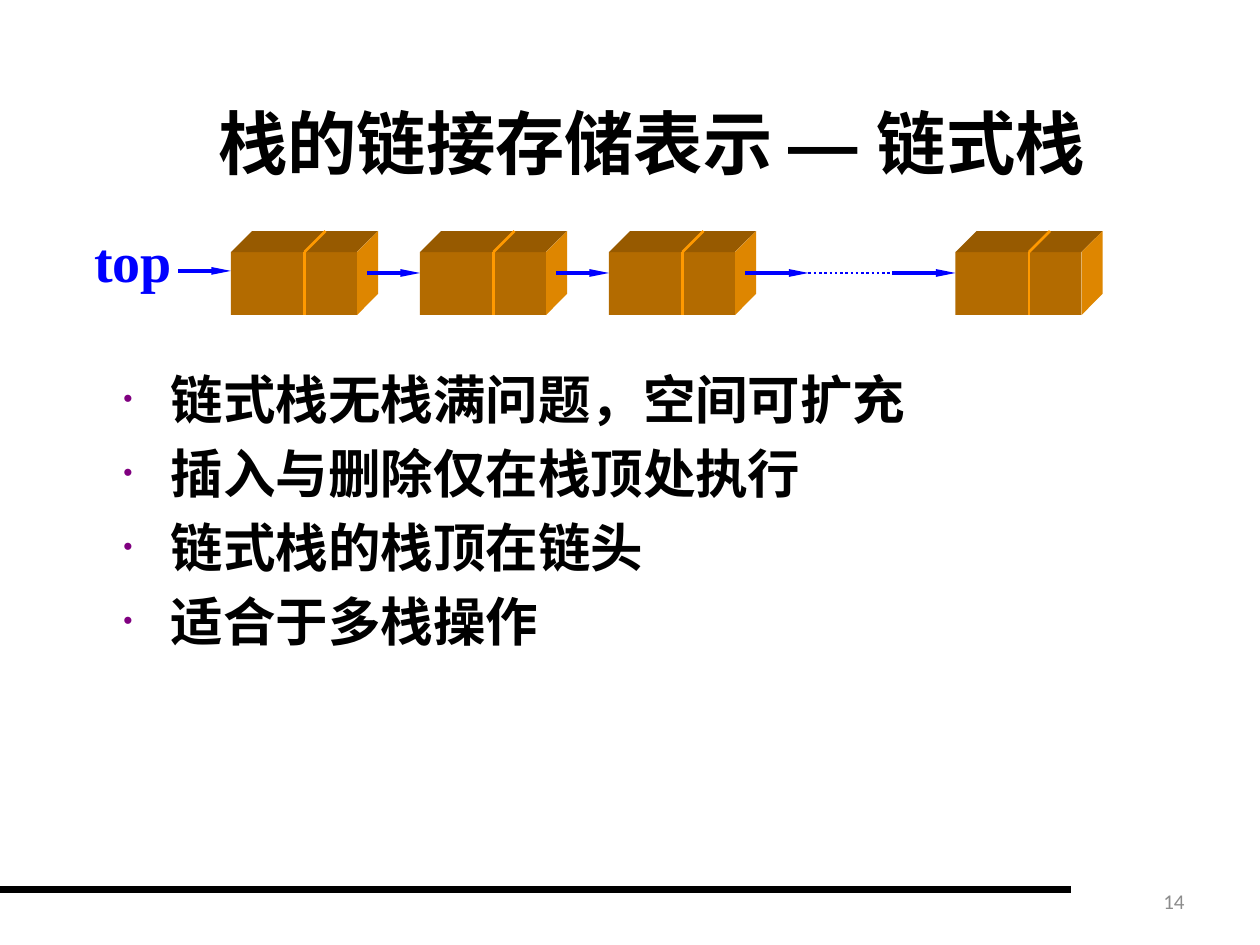
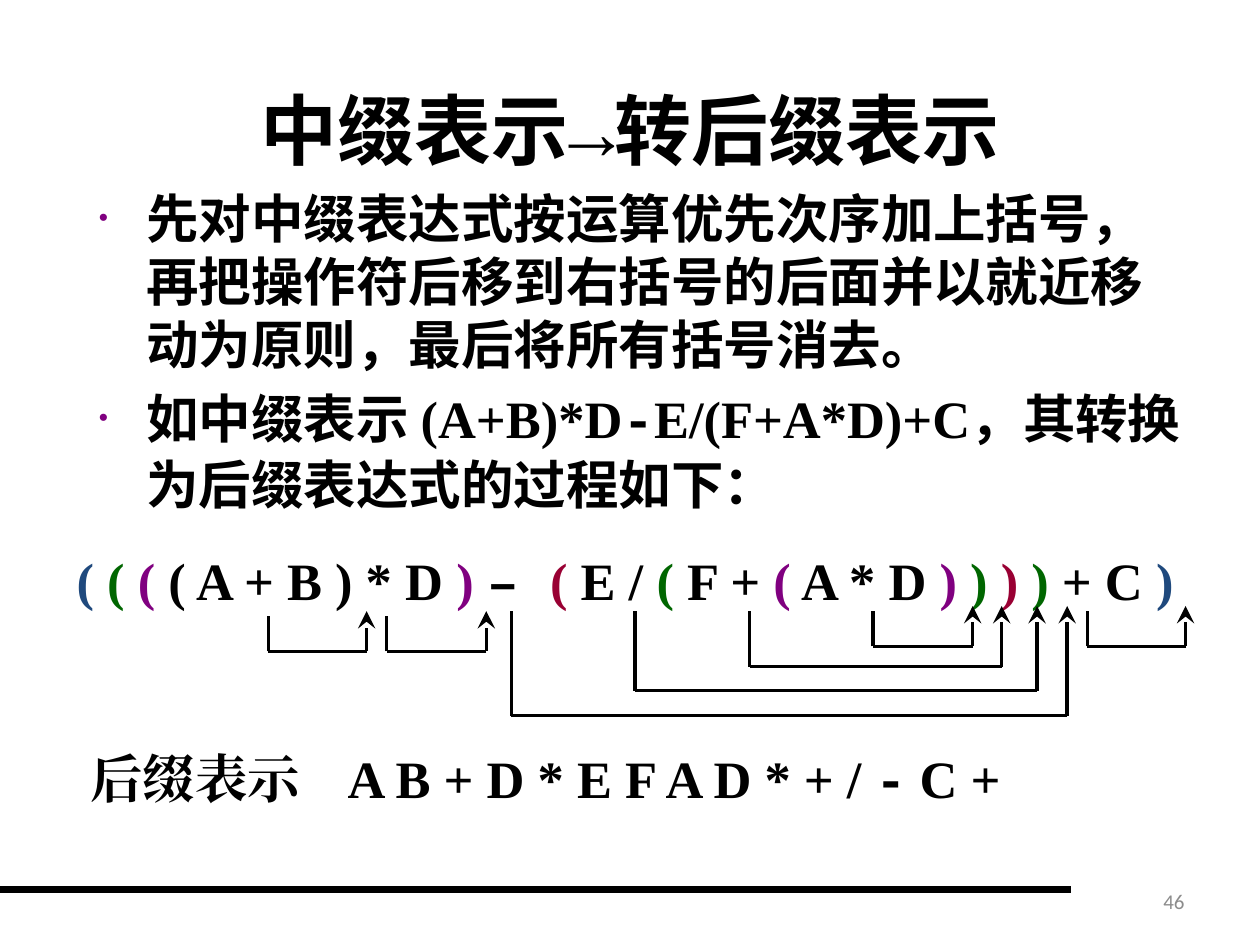
from pptx import Presentation
from pptx.dml.color import RGBColor as Rgb
from pptx.enum.dml import MSO_LINE as Dash
from pptx.enum.lang import MSO_LANGUAGE_ID as Lang
from pptx.enum.shapes import MSO_CONNECTOR as Conn, MSO_SHAPE as Shape
from pptx.enum.text import MSO_ANCHOR as Anchor, PP_ALIGN as Align
from pptx.oxml.ns import qn
from pptx.util import Pt
from lxml.etree import SubElement

BLACK = Rgb(0x00, 0x00, 0x00)
BLUE = Rgb(0x00, 0x00, 0xFF)
NAVY = Rgb(0x1F, 0x49, 0x7D)
GREEN = Rgb(0x00, 0x66, 0x00)
PURPLE = Rgb(0x80, 0x00, 0x80)
CRIMSON = Rgb(0x99, 0x00, 0x33)
GREY = Rgb(0x8C, 0x8C, 0x8C)
ORANGE = Rgb(0xFF, 0x99, 0x00)
NODE_FRONT = Rgb(0xB3, 0x6B, 0x00)
NODE_TOP = Rgb(0x97, 0x5A, 0x00)
NODE_SIDE = Rgb(0xDE, 0x86, 0x00)

SANS, SERIF, MONO, ARIAL = "Calibri", "Times New Roman", "Courier New", "Arial"
HAN, HAN_JP = "Noto Sans CJK SC", "Noto Sans CJK JP"
EAST_ASIAN = {HAN: SANS, HAN_JP: SANS}

STACK = {
    "number": "14",
    "title": [("栈的链接存储表示 ", HAN_JP), ("— ", ARIAL), ("链式栈", HAN_JP)],
    "title_box": (104.4, 51.1, 535.7, 59.8),
    "title_size": 39.6,
    "points": [
        [("链式栈无栈满问题，空间可扩充", SANS)],
        [("插入与删除仅在栈顶处执行", SANS)],
        [("链式栈的栈顶在链头", SANS)],
        [("适合于多栈操作", SANS)],
    ],
    "points_box": (63.4, 204.5, 594, 210),
    "spacing": {"line_spacing": 1.05, "space_before": Pt(4.5)},
}
POSTFIX = {
    "number": "46",
    "title": [("中缀表示", SANS), ("→", MONO), ("转后缀表示", SANS)],
    "title_box": (36, 36, 648, 75.6),
    "title_size": 44,
    "points": [
        [("先对中缀表达式按运算优先次序加上括号，再把操作符后移到右括号的后面"
          "并以就近移动为原则，最后将所有括号消去。", HAN)],
        [("如中缀表示 ", HAN), ("(A+B)*D", SERIF), ("-", MONO),
         ("E/(F+A*D)+C", SERIF), ("，其转换为后缀表达式的过程如下：", HAN),
         (" ", SANS, {"size": Pt(32), "bold": False})],
    ],
    "points_box": (49.5, 103, 633.6, 204.5),
    "spacing": {"space_before": Pt(6)},
}
INFIX = [
    ("( ", NAVY), ("( ", GREEN), ("(", PURPLE), (" ( A + B ) * D ", BLACK),
    (") ", PURPLE), ("– ", BLACK, MONO), ("(", CRIMSON), (" E / ", BLACK),
    ("(", GREEN), (" F + ", BLACK), ("(", PURPLE), (" A * D ", BLACK),
    (") ", PURPLE), (") ", GREEN), (") ", CRIMSON), (")", GREEN),
    (" + C ", BLACK), (")", NAVY),
]
RESULT = [("后缀表示\tA B + D * E F A D * + / ", SERIF), ("-", MONO), (" C +", SERIF)]
RESULT_TAB = 147
OPERATOR_MOVES = [
    (153.4, 209.5, 372.2, 349.2),
    (221, 277.9, 372.2, 349.2),
    (499, 555.8, 369.4, 346.3),
    (428.4, 572.4, 380.9, 346.3),
    (362.9, 592.6, 394.6, 346.3),
    (621.4, 677.5, 369.4, 346.3),
    (292.3, 609.8, 409, 346.3),
]
NODE_LEFTS = [132, 240, 348, 546]
NODE_Y, NODE_W, NODE_H, DEPTH, DIVIDER = 144, 72, 36, 12, 42
LINK_Y = 156
LINKS = [(102, 132, 154.8), (210, 240, LINK_Y), (318, 348, LINK_Y),
         (426, 462, LINK_Y), (510, 546, LINK_Y)]


def apply(target, values):
    for name, value in values.items():
        setattr(target, name, value)


def add_run(paragraph, text, face, color=BLACK, **values):
    run = paragraph.add_run()
    run.text = text
    apply(run.font, {"name": face, "bold": True,
                     "language_id": Lang.SIMPLIFIED_CHINESE, **values})
    run.font.color.rgb = color
    SubElement(run.font._element, qn("a:ea"), typeface=EAST_ASIAN.get(face, face))


def add_frame(slide, box, **values):
    frame = slide.shapes.add_textbox(*map(Pt, box)).text_frame
    apply(frame, {"word_wrap": True, **values})
    return frame


def add_line(slide, start, end, color, width, head=None, dash=None):
    line = slide.shapes.add_connector(Conn.STRAIGHT, *map(Pt, start + end))
    line.line.color.rgb = color
    line.line.width = Pt(width)
    if dash:
        line.line.dash_style = dash
    if head:
        kind, head_width = head
        SubElement(line.line._get_or_add_ln(), qn("a:tailEnd"),
                   type=kind, w=head_width, len="lg")
    SubElement(line._element.spPr, qn("a:effectLst"))


def paint(shape, color):
    shape.shadow.inherit = False
    shape.fill.solid()
    shape.fill.fore_color.rgb = color
    shape.line.fill.background()


def add_bullet(paragraph):
    props = paragraph._p.get_or_add_pPr()
    apply_indent = {"marL": str(Pt(27)), "indent": str(-Pt(27))}
    for name, value in apply_indent.items():
        props.set(name, value)
    SubElement(SubElement(props, qn("a:buClr")), qn("a:srgbClr"), val=str(PURPLE))
    SubElement(props, qn("a:buSzPct"), val="50000")
    SubElement(props, qn("a:buFont"), typeface=ARIAL)
    SubElement(props, qn("a:buChar"), char="•")


def start_slide(deck, content):
    slide = deck.slides.add_slide(deck.slide_layouts[6])
    add_line(slide, (0, 508.3), (612, 508.3), BLACK, 4.5)

    title = add_frame(slide, content["title_box"], vertical_anchor=Anchor.MIDDLE).paragraphs[0]
    title.alignment = Align.CENTER
    for text, face in content["title"]:
        add_run(title, text, face, size=Pt(content["title_size"]))

    body = add_frame(slide, content["points_box"])
    for index, point in enumerate(content["points"]):
        paragraph = body.add_paragraph() if index else body.paragraphs[0]
        add_bullet(paragraph)
        apply(paragraph, content["spacing"])
        if not index:
            paragraph.space_before = Pt(0)
        for text, face, *extra in point:
            add_run(paragraph, text, face, **{"size": Pt(30), **(extra[0] if extra else {})})

    number = add_frame(slide, (516, 500.5, 168, 28.8), vertical_anchor=Anchor.MIDDLE).paragraphs[0]
    number.alignment = Align.RIGHT
    add_run(number, content["number"], SANS, GREY, size=Pt(12), bold=False)
    return slide


def add_node(slide, left):
    right, back = left + NODE_W, NODE_Y - DEPTH
    bottom, divider = NODE_Y + NODE_H, left + DIVIDER
    front = slide.shapes.add_shape(Shape.RECTANGLE, *map(Pt, (left, NODE_Y, NODE_W, NODE_H)))
    paint(front, NODE_FRONT)
    faces = [
        (NODE_TOP, [(left, NODE_Y), (left + DEPTH, back), (right + DEPTH, back), (right, NODE_Y)]),
        (NODE_SIDE, [(right, NODE_Y), (right + DEPTH, back),
                     (right + DEPTH, bottom - DEPTH), (right, bottom)]),
    ]
    for color, corners in faces:
        outline = slide.shapes.build_freeform(*corners[0], scale=Pt(1))
        outline.add_line_segments(corners[1:], close=True)
        paint(outline.convert_to_shape(), color)
    for end in ((divider, bottom), (divider + DEPTH, back)):
        add_line(slide, (divider, NODE_Y), end, ORANGE, 1.5)


def build_stack(deck):
    slide = start_slide(deck, STACK)
    top = add_frame(slide, (46.8, 126, 59, 45.4), word_wrap=False).paragraphs[0]
    add_run(top, "top", SERIF, BLUE, size=Pt(32))
    for left in NODE_LEFTS:
        add_node(slide, left)
    for start, end, y in LINKS:
        add_line(slide, (start, y), (end, y), BLUE, 2.25, ("triangle", "sm"))
    add_line(slide, (462, LINK_Y), (510, LINK_Y), BLUE, 1.5, dash=Dash.ROUND_DOT)


def build_postfix(deck):
    slide = start_slide(deck, POSTFIX)
    infix = add_frame(slide, (36.7, 309.6, 649.4, 43.2), word_wrap=False).paragraphs[0]
    for text, color, *face in INFIX:
        add_run(infix, text, face[0] if face else SERIF, color, size=Pt(30))
    for operator, target, bottom, tip in OPERATOR_MOVES:
        add_line(slide, (target, bottom), (target, tip), BLACK, 2, ("stealth", "lg"))
        add_line(slide, (target, bottom), (operator, bottom), BLACK, 1.75)
        add_line(slide, (operator, bottom), (operator, tip + 2.9), BLACK, 2)

    result = add_frame(slide, (44.6, 422.6, 546, 43.2)).paragraphs[0]
    tabs = SubElement(result._p.get_or_add_pPr(), qn("a:tabLst"))
    SubElement(tabs, qn("a:tab"), pos=str(Pt(RESULT_TAB)), algn="l")
    for text, face in RESULT:
        add_run(result, text, face, size=Pt(30))


def main():
    deck = Presentation()
    apply(deck, {"slide_width": Pt(720), "slide_height": Pt(540)})
    build_stack(deck)
    build_postfix(deck)
    deck.save("out.pptx")


if __name__ == "__main__":
    main()
